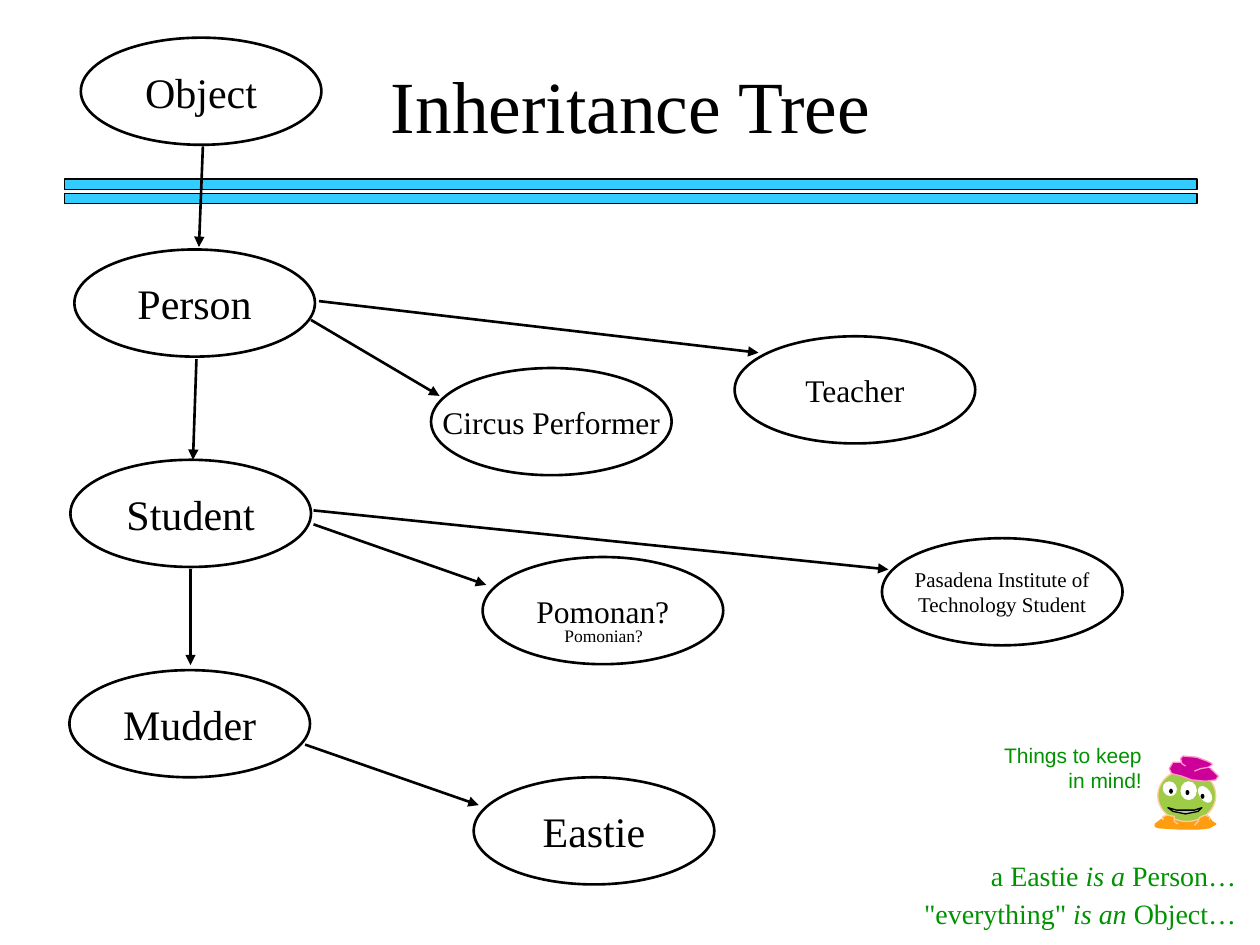
from dataclasses import dataclass

from pptx import Presentation
from pptx.dml.color import RGBColor
from pptx.enum.shapes import MSO_CONNECTOR, MSO_SHAPE
from pptx.enum.text import MSO_ANCHOR, MSO_AUTO_SIZE, PP_ALIGN
from pptx.oxml.ns import qn
from pptx.util import Cm, Pt
from lxml.etree import SubElement


@dataclass(frozen=True)
class Theme:
    serif: str = "Times New Roman"
    sans: str = "Arial"
    ink: str = "000000"
    bar: str = "33CCFF"
    note: str = "009200"
    white: str = "FFFFFF"
    skin: str = "9ECC46"
    skin_edge: str = "FFCC99"
    feet: str = "FD9D0F"
    mouth: str = "C0C0C0"
    hat: str = "CC0099"
    hat_edge: str = "FF99CC"
    title_size: float = 42
    class_size: float = 24
    subclass_size: float = 18
    note_size: float = 16
    small_size: float = 12
    tiny_size: float = 10
    thin: float = 0.75
    stroke: float = 1.5


THEME = Theme()
NODE_WIDTH, NODE_HEIGHT = 4.85, 2.16

# Name, left, top, type size
NODES = [
    ("Object", 1.63, 0.76, THEME.class_size),
    ("Person", 1.5, 5.03, THEME.class_size),
    ("Student", 1.42, 9.27, THEME.class_size),
    ("Mudder", 1.4, 13.51, THEME.class_size),
    ("Circus Performer", 8.69, 7.42, THEME.subclass_size),
    ("Teacher", 14.81, 6.78, THEME.subclass_size),
    ("Pomonan?", 9.73, 11.23, THEME.subclass_size),
    ("Pasadena Institute of\nTechnology Student", 17.78, 10.85, THEME.small_size),
    ("Eastie", 9.55, 15.67, THEME.class_size),
]

# Start and end of each arrow
ARROWS = [
    (4.09, 2.95, 4.01, 4.98),      # Object to Person
    (3.96, 7.24, 3.89, 9.27),      # Person to Student
    (3.84, 11.48, 3.84, 13.41),    # Student to Mudder
    (6.27, 6.45, 8.86, 7.98),      # Person to Circus Performer
    (6.43, 6.07, 15.29, 7.11),     # Person to Teacher
    (6.32, 10.57, 9.8, 11.79),     # Student to Pomonan
    (6.32, 10.29, 17.91, 11.48),   # Student to Pasadena student
    (6.15, 15.01, 9.65, 16.23),    # Mudder to Eastie
]


def write_text(shape, text, size, font=THEME.serif, color=THEME.ink, align=PP_ALIGN.CENTER,
               anchor=MSO_ANCHOR.TOP, wrap=True):
    """Write lines of text; parts between asterisks are italic."""
    frame = shape.text_frame
    frame.word_wrap = wrap
    frame.auto_size = MSO_AUTO_SIZE.NONE
    frame.vertical_anchor = anchor
    for number, line in enumerate(text.split("\n")):
        paragraph = frame.add_paragraph() if number else frame.paragraphs[0]
        paragraph.alignment = align
        for position, part in enumerate(line.split("*")):
            run = paragraph.add_run()
            run.text = part
            run.font.name = font
            run.font.size = Pt(size)
            run.font.italic = position % 2 == 1
            run.font.color.rgb = RGBColor.from_string(color)


def paint(shape, fill=None, line=None, width=THEME.thin):
    shape.shadow.inherit = False
    if fill:
        shape.fill.solid()
        shape.fill.fore_color.rgb = RGBColor.from_string(fill)
    else:
        shape.fill.background()
    if line:
        shape.line.color.rgb = RGBColor.from_string(line)
        shape.line.width = Pt(width)
    else:
        shape.line.fill.background()


def add_header(slide, left, top, width):
    """Title with two bars below it."""
    title = slide.shapes.title
    title.left, title.top = Cm(left + 0.6), Cm(top)
    title.width, title.height = Cm(width - 1.2), Cm(2.03)
    write_text(title, "Inheritance Tree", THEME.title_size, anchor=MSO_ANCHOR.BOTTOM)
    for row in range(2):
        bar = slide.shapes.add_shape(MSO_SHAPE.RECTANGLE, Cm(left), Cm(top + 2.53 + row * 0.29),
                                     Cm(width), Cm(0.21))
        paint(bar, THEME.bar, THEME.ink)


def add_textbox(slide, left, top, width, height, text, size, **text_format):
    box = slide.shapes.add_textbox(Cm(left), Cm(top), Cm(width), Cm(height))
    write_text(box, text, size, **text_format)


def add_arrow(slide, *ends):
    arrow = slide.shapes.add_connector(MSO_CONNECTOR.STRAIGHT, *map(Cm, ends))
    arrow.line.color.rgb = RGBColor.from_string(THEME.ink)
    arrow.line.width = Pt(THEME.stroke)
    properties = arrow.element.spPr
    SubElement(properties.find(qn("a:ln")), qn("a:tailEnd"), type="triangle")
    SubElement(properties, qn("a:effectLst"))


def add_tree(slide):
    """Class ellipses joined by arrows."""
    for name, left, top, size in NODES:
        node = slide.shapes.add_shape(MSO_SHAPE.OVAL, Cm(left), Cm(top),
                                      Cm(NODE_WIDTH), Cm(NODE_HEIGHT))
        paint(node, line=THEME.ink, width=THEME.stroke)
        write_text(node, name, size, anchor=MSO_ANCHOR.MIDDLE, wrap=False)
    for ends in ARROWS:
        add_arrow(slide, *ends)
    add_textbox(slide, 11.13, 12.47, 2.08, 0.69, "Pomonian?", THEME.tiny_size,
                align=PP_ALIGN.LEFT, wrap=False)


def add_alien(slide, left, top, width):
    """Small green alien, drawn on a grid 50 units wide."""
    group = slide.shapes.add_group_shape()
    unit = Cm(width / 50)

    def add_outline(points, fill, line, close=False):
        builder = group.shapes.build_freeform(*points[0], scale=unit)
        builder.add_line_segments(points[1:], close=close)
        paint(builder.convert_to_shape(Cm(left), Cm(top)), fill, line)

    def add_oval(x, y, across, down, fill, line=None, rotation=0):
        oval = group.shapes.add_shape(MSO_SHAPE.OVAL, Cm(left) + x * unit, Cm(top) + y * unit,
                                      across * unit, down * unit)
        oval.rotation = rotation
        paint(oval, fill, line)

    # Feet and body
    add_outline([(24, 44), (34, 45), (42, 48), (45, 52), (48, 54), (43, 57), (34, 58), (20, 58),
                 (3, 57), (0, 56), (0, 54), (4, 51), (9, 48), (12, 46), (17, 44)],
                THEME.feet, THEME.feet, close=True)
    add_oval(2, 11, 46, 41, THEME.skin, THEME.skin_edge)
    # Eyes
    add_oval(6, 20, 11, 12, THEME.white, rotation=-32.8)
    add_oval(20, 20, 13, 15, THEME.white)
    add_oval(35, 23, 9, 15, THEME.white, rotation=-34.5)
    for x, y in [(11, 26), (24, 27), (36, 30)]:
        add_oval(x, y, 3, 4, THEME.ink)
    # Mouth
    add_outline([(10, 41), (17, 43), (24, 43), (31, 43), (37, 41), (34, 44), (24, 46), (14, 44)],
                THEME.mouth, THEME.ink, close=True)
    # Hat
    add_outline([(23, 5), (14, 5), (11, 10), (13, 14), (21, 16), (29, 19), (40, 20), (48, 19),
                 (50, 16), (48, 14), (44, 10)], THEME.hat, THEME.hat_edge)
    add_outline([(24, 8), (21, 6), (20, 2), (22, 0), (33, 1), (41, 4), (45, 6), (45, 7),
                 (42, 9), (36, 10), (31, 12)], THEME.hat, THEME.hat_edge)
    # Toes
    add_outline([(6, 51), (6, 48), (10, 47), (15, 48), (15, 52), (18, 54)],
                THEME.feet, THEME.skin_edge)
    add_outline([(43, 51), (43, 48), (39, 47), (35, 49), (34, 52), (31, 55)],
                THEME.feet, THEME.skin_edge)


def add_reminder(slide, left, top):
    """Green notes with the alien beside them."""
    note_format = {"color": THEME.note, "align": PP_ALIGN.RIGHT}
    add_textbox(slide, left + 3.18, top, 3.38, 1.27, "Things to keep in mind!",
                THEME.small_size, font=THEME.sans, **note_format)
    add_alien(slide, left + 6.58, top + 0.39, 1.27)
    for row, text in enumerate(["a Eastie *is a *Person…", '"everything" *is an *Object…']):
        add_textbox(slide, left, top + 2.34 + row * 0.76, 8.46, 0.94, text,
                    THEME.note_size, **note_format)


def main():
    presentation = Presentation()
    presentation.slide_width, presentation.slide_height = Cm(25.4), Cm(19.05)
    slide = presentation.slides.add_slide(presentation.slide_layouts[5])
    add_header(slide, 1.3, 1.08, 22.83)
    add_tree(slide)
    add_reminder(slide, 16.71, 14.85)
    presentation.save("out.pptx")


if __name__ == "__main__":
    main()
